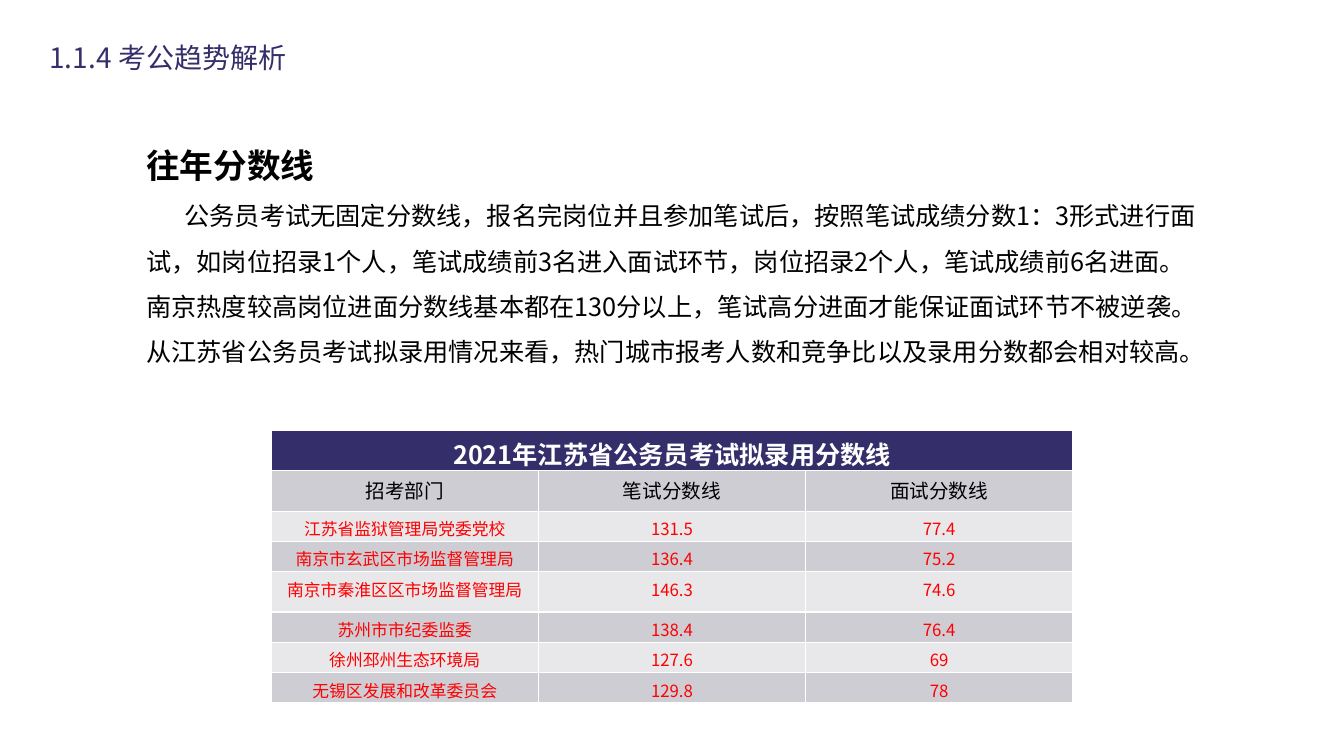
from lxml.etree import SubElement
from pptx import Presentation
from pptx.dml.color import RGBColor
from pptx.enum.text import MSO_ANCHOR, MSO_AUTO_SIZE, PP_ALIGN
from pptx.oxml.ns import qn
from pptx.util import Inches, Pt

FONT = "Noto Sans CJK SC"
INDIGO, BLACK, RED, WHITE = "342E6A", "000000", "FF0000", "FFFFFF"
BANDS = ["CECDD4", "E8E8EB"]

SECTION = "1.1.4 考公趋势解析"
HEADING = "往年分数线"
EXPLANATION = (
    "公务员考试无固定分数线，报名完岗位并且参加笔试后，按照笔试成绩分数1：3形式进行面试，"
    "如岗位招录1个人，笔试成绩前3名进入面试环节，岗位招录2个人，笔试成绩前6名进面。"
    "南京热度较高岗位进面分数线基本都在130分以上，笔试高分进面才能保证面试环节不被逆袭。"
    "从江苏省公务员考试拟录用情况来看，热门城市报考人数和竞争比以及录用分数都会相对较高。"
)
SCORES_TITLE = "2021年江苏省公务员考试拟录用分数线"
SCORES = [
    ("招考部门", "笔试分数线", "面试分数线"),
    ("江苏省监狱管理局党委党校", "131.5", "77.4"),
    ("南京市玄武区市场监督管理局", "136.4", "75.2"),
    ("南京市秦淮区区市场监督管理局", "146.3", "74.6"),
    ("苏州市市纪委监委", "138.4", "76.4"),
    ("徐州邳州生态环境局", "127.6", "69"),
    ("无锡区发展和改革委员会", "129.8", "78"),
]
ROW_HEIGHTS = [0.4, 0.4, 0.3, 0.3, 0.4, 0.3, 0.3, 0.3]
COLUMN_WIDTH = 2.65


def color(value):
    return RGBColor.from_string(value)


def style(paragraph, size, ink, bold=False, align=PP_ALIGN.LEFT, latin=FONT):
    paragraph.alignment = align
    paragraph.font.size = Pt(size)
    paragraph.font.bold = bold
    paragraph.font.color.rgb = color(ink)
    paragraph.font.name = latin
    for run in paragraph.runs:
        SubElement(run._r.get_or_add_rPr(), qn("a:ea"), typeface=FONT)


def place(shape, left, top, width, height):
    shape.left, shape.top = Inches(left), Inches(top)
    shape.width, shape.height = Inches(width), Inches(height)


def fill_cell(cell, text, fill, *look):
    cell.text = text
    cell.fill.solid()
    cell.fill.fore_color.rgb = color(fill)
    style(cell.text_frame.paragraphs[0], *look)


deck = Presentation()
deck.slide_width, deck.slide_height = Inches(13.33), Inches(7.5)
slide = deck.slides.add_slide(deck.slide_layouts[1])

section = slide.shapes.title
place(section, 0.39, 0.35, 2.7, 0.44)
section.text_frame.text = SECTION
section.text_frame.word_wrap = False
style(section.text_frame.paragraphs[0], 20, INDIGO)

body = slide.placeholders[1]
place(body, 1.35, 1.19, 10.64, 2.67)
body.text_frame.text = HEADING + "\n" + EXPLANATION
body.text_frame.word_wrap = True
heading, explanation = body.text_frame.paragraphs
for paragraph, indent in ((heading, 0), (explanation, 0.38)):
    properties = paragraph._p.get_or_add_pPr()
    properties.set("marL", "0")
    properties.set("indent", str(Inches(indent)))
    SubElement(properties, qn("a:buNone"))
    paragraph.line_spacing = 1.5
    paragraph.space_before = Pt(0)
style(heading, 24, BLACK, True, PP_ALIGN.LEFT, "Arial")
style(explanation, 18, BLACK)

for placeholder in (section, body):
    placeholder.text_frame.vertical_anchor = MSO_ANCHOR.TOP
    placeholder.text_frame.auto_size = MSO_AUTO_SIZE.SHAPE_TO_FIT_TEXT

columns = len(SCORES[0])
scores = slide.shapes.add_table(
    len(ROW_HEIGHTS), columns, Inches(2.69), Inches(4.27),
    Inches(COLUMN_WIDTH * columns), Inches(sum(ROW_HEIGHTS)),
).table
for column in scores.columns:
    column.width = Inches(COLUMN_WIDTH)
for row, height in zip(scores.rows, ROW_HEIGHTS):
    row.height = Inches(height)

scores.cell(0, 0).merge(scores.cell(0, columns - 1))
fill_cell(scores.cell(0, 0), SCORES_TITLE, INDIGO, 18, WHITE, True, PP_ALIGN.CENTER)
for r, record in enumerate(SCORES):
    size, ink = (12, RED) if r else (14, BLACK)
    for c, text in enumerate(record):
        fill_cell(scores.cell(r + 1, c), text, BANDS[r % 2], size, ink, False, PP_ALIGN.CENTER)

deck.save("out.pptx")
